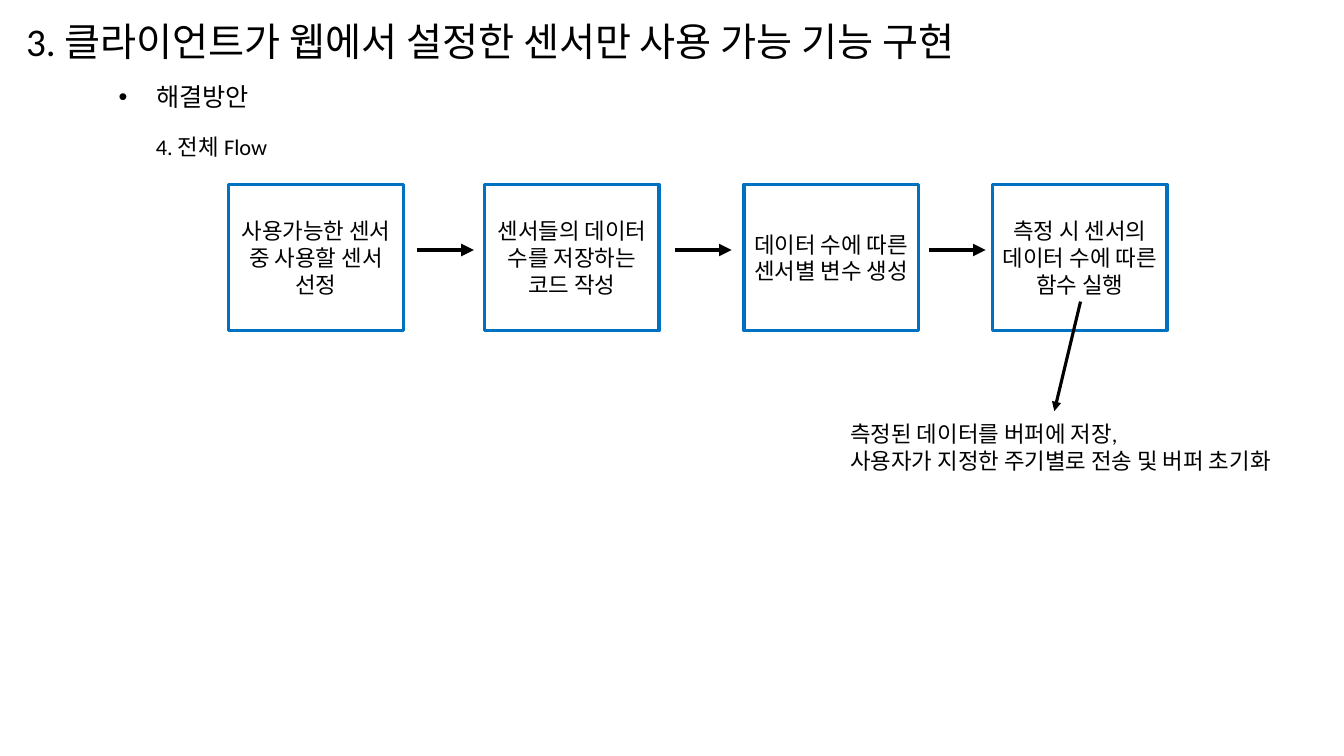
from lxml.etree import SubElement
from pptx import Presentation
from pptx.dml.color import RGBColor
from pptx.enum.shapes import MSO_CONNECTOR as Link, MSO_SHAPE as Form
from pptx.enum.text import MSO_ANCHOR as Anchor, MSO_AUTO_SIZE as Fit, PP_ALIGN as Align
from pptx.oxml.ns import qn
from pptx.util import Cm, Pt

BLACK = RGBColor(0x00, 0x00, 0x00)
WHITE = RGBColor(0xFF, 0xFF, 0xFF)
BLUE = RGBColor(0x00, 0x70, 0xC0)

STEPS = [
    (5.77, "사용가능한 센서 중 사용할 센서 선정"),
    (12.22, "센서들의 데이터 수를 저장하는 코드 작성"),
    (18.75, "데이터 수에 따른 센서별 변수 생성"),
    (25.02, "측정 시 센서의 데이터 수에 따른 함수 실행"),
]
ARROWS = [10.52, 17.02, 23.42]


class Flow:
    font = "Calibri"
    size = 16

    def __init__(self, slide):
        self.slide = slide

    def style(self, frame, size, align=Align.LEFT):
        frame.word_wrap = True
        for para in frame.paragraphs:
            para.alignment = align
            for run in para.runs:
                run.font.name = self.font
                run.font.size = Pt(size)
                run.font.color.rgb = BLACK

    def label(self, left, top, width, height, text, size=size, bullet=False):
        box = self.slide.shapes.add_textbox(Cm(left), Cm(top), Cm(width), Cm(height))
        frame = box.text_frame
        frame.text = text
        frame.auto_size = Fit.SHAPE_TO_FIT_TEXT
        self.style(frame, size)
        if bullet:
            self.bullet(frame.paragraphs[0])

    def bullet(self, para):
        props = para._p.get_or_add_pPr()
        indent = Cm(0.95)
        props.set("marL", str(indent))
        props.set("indent", str(-indent))
        SubElement(props, qn("a:buFont"), typeface="Arial")
        SubElement(props, qn("a:buChar"), char="•")

    def step(self, left, text):
        box = self.slide.shapes.add_shape(
            Form.RECTANGLE, Cm(left), Cm(4.65), Cm(4.39), Cm(3.68))
        box.shadow.inherit = False
        box.fill.solid()
        box.fill.fore_color.rgb = WHITE
        box.line.color.rgb = BLUE
        box.line.width = Pt(2.25)
        frame = box.text_frame
        frame.text = text
        frame.vertical_anchor = Anchor.MIDDLE
        self.style(frame, self.size, Align.CENTER)

    def arrow(self, start, end, width):
        line = self.slide.shapes.add_connector(
            Link.STRAIGHT, *(Cm(value) for value in start + end))
        line.line.color.rgb = BLACK
        line.line.width = Pt(width)
        SubElement(line.line._get_or_add_ln(), qn("a:tailEnd"), type="triangle")
        SubElement(line._element.spPr, qn("a:effectLst"))


def main():
    deck = Presentation()
    deck.slide_width = Cm(33.87)
    deck.slide_height = Cm(19.05)
    flow = Flow(deck.slides.add_slide(deck.slide_layouts[6]))

    flow.label(0.41, 0.3, 27.2, 1.45,
               "3. 클라이언트가 웹에서 설정한 센서만 사용 가능 기능 구현", 28)
    flow.label(2.74, 1.93, 27.2, 1.02, "해결방안", 18, bullet=True)
    flow.label(3.68, 3.23, 27.2, 0.94, "4. 전체 Flow")

    for left, text in STEPS:
        flow.step(left, text)
    for left in ARROWS:
        flow.arrow((left, 6.3), (left + 1.42, 6.3), 3)

    flow.arrow((27.23, 7.6), (26.57, 10.36), 2.25)
    flow.label(21.18, 10.46, 12.09, 1.63,
               "측정된 데이터를 버퍼에 저장,\n사용자가 지정한 주기별로 전송 및 버퍼 초기화")

    deck.save("out.pptx")


if __name__ == "__main__":
    main()
